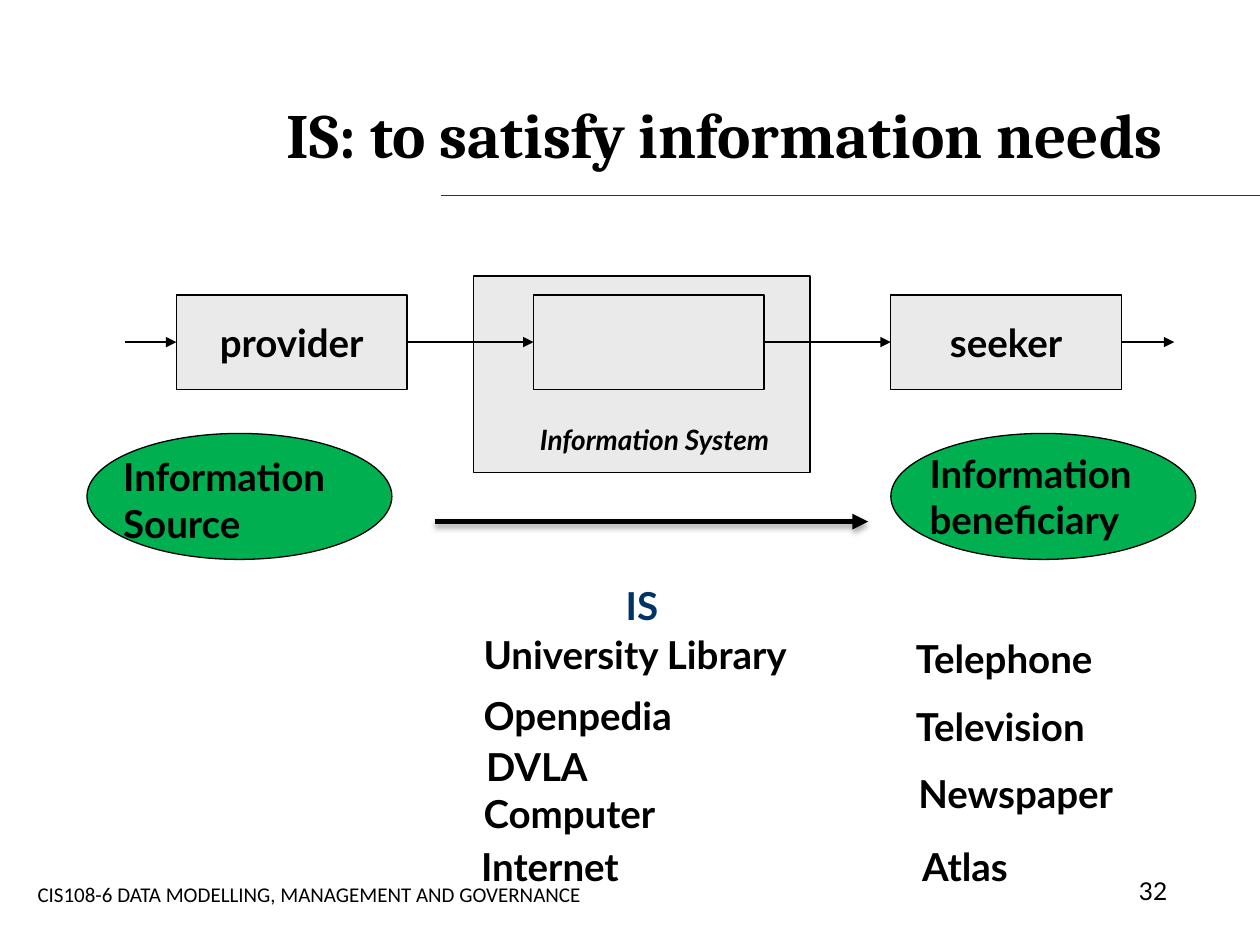
from lxml import etree
from pptx import Presentation
from pptx.dml.color import RGBColor
from pptx.enum.shapes import MSO_CONNECTOR, MSO_SHAPE
from pptx.enum.text import MSO_ANCHOR, MSO_AUTO_SIZE, PP_ALIGN
from pptx.oxml import parse_xml
from pptx.oxml.ns import nsdecls, qn
from pptx.util import Inches, Pt

LINE = MSO_CONNECTOR.STRAIGHT
RECT, OVAL = MSO_SHAPE.RECTANGLE, MSO_SHAPE.OVAL
LEFT, MID, RIGHT = PP_ALIGN.LEFT, PP_ALIGN.CENTER, PP_ALIGN.RIGHT
TOP, HALF = MSO_ANCHOR.TOP, MSO_ANCHOR.MIDDLE

THEME = {
    "ink": RGBColor(0, 0, 0),
    "rule": RGBColor(0xA8, 0, 0),
    "box": RGBColor(0xEA, 0xEA, 0xEA),
    "oval": RGBColor(0, 0xB0, 0x50),
    "navy": RGBColor(0, 0x33, 0x66),
    "thin": Pt(0.75),
    "thick": Pt(3),
    "title": {"name": "Cambria", "size": Pt(36), "bold": True},
    "label": {"name": "Lato", "size": Pt(22), "bold": True},
    "note": {"name": "Lato", "size": Pt(16), "bold": True, "italic": True},
    "page": {"name": "Lato", "size": Pt(14), "bold": False},
    "foot": {"name": "Calibri", "size": Pt(12), "bold": False},
}

deck = Presentation()
deck.slide_width, deck.slide_height = Inches(10), Inches(7.5)
COL, ROW = deck.slide_width / 100, deck.slide_height / 75
slide = deck.slides.add_slide(deck.slide_layouts[5])
shapes = slide.shapes


def grid(x, y, *size):
    units = (COL, ROW, COL, ROW)
    return [round(n * unit) for n, unit in zip((x, y, *size), units)]


def write(shape, text, style, align=LEFT, anchor=TOP, ink="ink", wrap=True):
    frame = shape.text_frame
    frame.text = text
    form = {"word_wrap": wrap, "vertical_anchor": anchor,
            "auto_size": MSO_AUTO_SIZE.NONE}
    for key, value in form.items():
        setattr(frame, key, value)
    para = frame.paragraphs[0]
    para.alignment = align
    for key, value in THEME[style].items():
        setattr(para.font, key, value)
    para.font.color.rgb = THEME[ink]


title = shapes.title
for key, value in zip(("left", "top", "width", "height"),
                      grid(17.7, 6.8, 76.7, 7.5)):
    setattr(title, key, value)
write(title, "IS: to satisfy information needs", "title", RIGHT, HALF)
title.text_frame.margin_right = round(2.1 * COL)

frames = {}
for name, kind, fill, area in (
    ("source", OVAL, "oval", (6.9, 34.4, 24.2, 10)),
    ("user", OVAL, "oval", (70.7, 34.4, 24.2, 10)),
    ("system", RECT, "box", (37.6, 21.9, 26.7, 15.6)),
    ("provider", RECT, "box", (14, 23.4, 18.3, 7.5)),
    ("core", RECT, "box", (42.35, 23.4, 18.3, 7.5)),
    ("seeker", RECT, "box", (70.7, 23.4, 18.3, 7.5)),
):
    shape = shapes.add_shape(kind, *grid(*area))
    shape.shadow.inherit = False
    shape.fill.solid()
    shape.fill.fore_color.rgb = THEME[fill]
    shape.line.color.rgb = THEME["ink"]
    shape.line.width = THEME["thin"]
    frames[name] = shape
for name in ("provider", "seeker"):
    write(frames[name], name, "label", MID, HALF, wrap=False)

AXIS = 23.4 + 7.5 / 2
for start, end, ink, width, tail, head in (
    ((35, 15.5), (100, 15.5), "rule", "thin", None, None),
    ((9.9, AXIS), (14, AXIS), "ink", "thin", None, "provider"),
    ((32.3, AXIS), (42.35, AXIS), "ink", "thin", "provider", "core"),
    ((60.65, AXIS), (70.7, AXIS), "ink", "thin", "core", "seeker"),
    ((89, AXIS), (93.2, AXIS), "ink", "thin", "seeker", None),
    ((34.5, 41.4), (68.9, 41.4), "ink", "thick", None, None),
):
    link = shapes.add_connector(LINE, *grid(*start), *grid(*end))
    link.line.color.rgb = THEME[ink]
    link.line.width = THEME[width]
    if tail:
        link.begin_connect(frames[tail], 3)
    if head:
        link.end_connect(frames[head], 1)
    if ink == "ink":
        tip = etree.SubElement(link.line._get_or_add_ln(), qn("a:tailEnd"))
        tip.set("type", "triangle")
    glow = ""
    if width == "thick":
        glow = ('<a:outerShdw blurRad="40000" dist="23000" dir="5400000" '
                'rotWithShape="0"><a:srgbClr val="000000">'
                '<a:alpha val="35000"/></a:srgbClr></a:outerShdw>')
    link._element.spPr.append(parse_xml(
        f'<a:effectLst {nsdecls("a")}>{glow}</a:effectLst>'))

for text, area, style, align, anchor, ink in (
    ("Information System", (39.3, 33, 25.3, 3.7), "note", MID, HALF, "ink"),
    ("Information Source", (8.8, 35.5, 25.6, 8.4), "label", LEFT, TOP, "ink"),
    ("Information beneficiary", (72.8, 35.2, 25.6, 8.4), "label", LEFT, TOP, "ink"),
    ("IS", (37.6, 45.7, 26.7, 4.7), "label", MID, HALF, "navy"),
    ("32", (89.4, 69, 5, 3.4), "page", LEFT, TOP, "ink"),
    ("CIS108-6 DATA MODELLING, MANAGEMENT AND GOVERNANCE",
     (2, 69, 48, 4), "foot", LEFT, HALF, "ink"),
):
    write(shapes.add_textbox(*grid(*area)), text, style, align, anchor, ink)

for wide, items in (
    (32.6, (("University Library", 37.4, 49.6), ("Openpedia", 37.4, 54.4),
            ("DVLA", 37.6, 58.5), ("Computer", 37.4, 62.2),
            ("Internet", 37.2, 66.4))),
    (19.4, (("Telephone", 71.7, 49.9), ("Television", 71.7, 55.3),
            ("Newspaper", 71.9, 60.6), ("Atlas", 72.2, 66.4))),
):
    for text, x, y in items:
        write(shapes.add_textbox(*grid(x, y, wide, 4.7)), text, "label")

deck.save("out.pptx")
